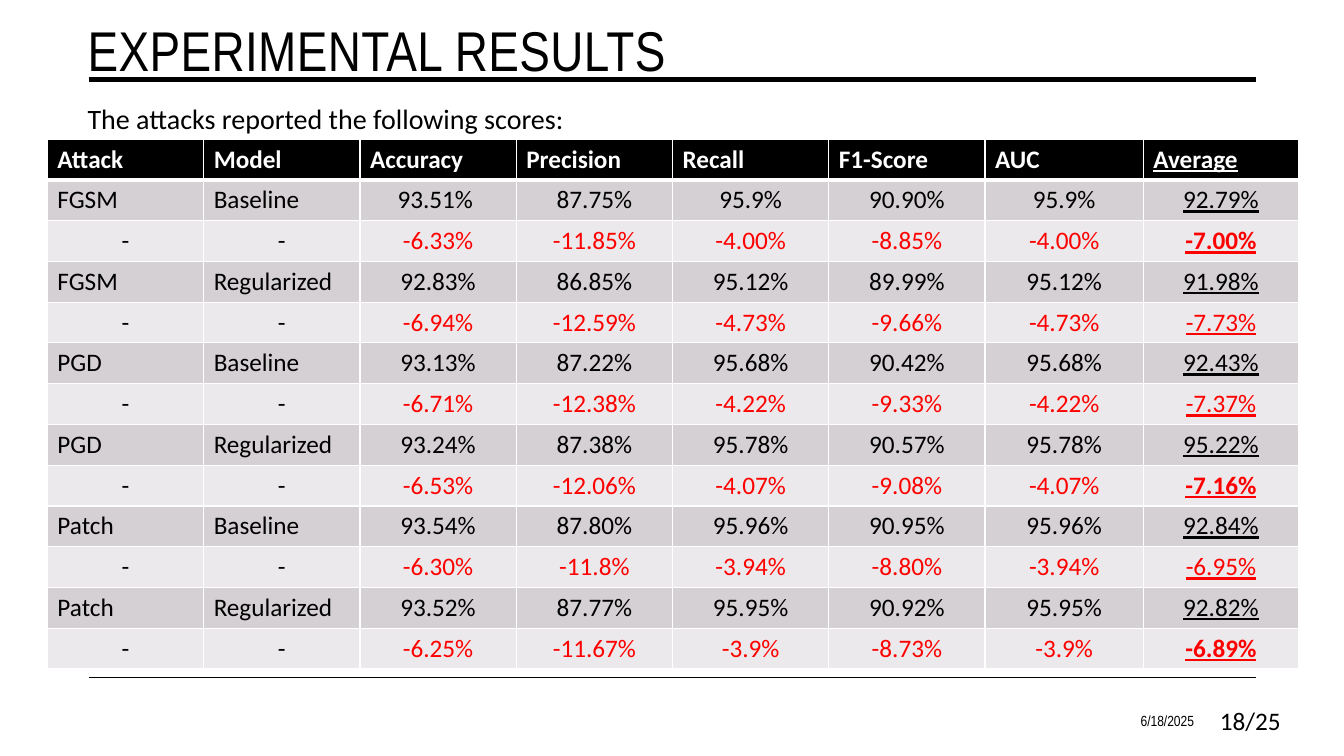
from pptx import Presentation
from pptx import util as u
from pptx.dml.color import RGBColor
from pptx.enum import shapes, text
from pptx.oxml import parse_xml
from pptx.oxml.ns import nsdecls

BLACK = RGBColor(0x00, 0x00, 0x00)
WHITE = RGBColor(0xFF, 0xFF, 0xFF)
RED = RGBColor(0xFF, 0x00, 0x00)
SCORE_FILL = RGBColor(0xD5, 0xD0, 0xD3)
CHANGE_FILL = RGBColor(0xEB, 0xE9, 0xEB)

NARROW = "Arial Narrow"
BODY = "Calibri"
PX = u.Inches(1) // 100

COLUMN_WIDTHS = [155] * 6 + [157, 154]
TABLE_HEIGHT = 526
NAME_COLUMNS = 2
BEST_AVERAGES = {"-7.00%", "-7.16%", "-6.89%"}
RESULTS = [
    ["Attack", "Model", "Accuracy", "Precision", "Recall", "F1-Score", "AUC", "Average"],
    ["FGSM", "Baseline", "93.51% ", "87.75%", "95.9%", "90.90%", "95.9%", "92.79%"],
    ["-", "-", "-6.33%", "-11.85%", "-4.00%", "-8.85%", "-4.00%", "-7.00%"],
    ["FGSM", "Regularized", "92.83%", "86.85%", "95.12%", "89.99%", "95.12%", "91.98%"],
    ["-", "-", "-6.94%", "-12.59%", "-4.73%", "-9.66%", "-4.73%", "-7.73%"],
    ["PGD", "Baseline", "93.13%", "87.22%", "95.68%", "90.42%", "95.68%", "92.43%"],
    ["-", "-", "-6.71%", "-12.38%", "-4.22%", "-9.33%", "-4.22%", "-7.37%"],
    ["PGD", "Regularized", "93.24%", "87.38%", "95.78%", "90.57%", "95.78%", "95.22%"],
    ["-", "-", "-6.53%", "-12.06%", "-4.07%", "-9.08%", "-4.07%", "-7.16%"],
    ["Patch", "Baseline", "93.54%", "87.80%", "95.96%", "90.95%", "95.96%", "92.84%"],
    ["-", "-", "-6.30%", "-11.8%", "-3.94%", "-8.80%", "-3.94%", "-6.95%"],
    ["Patch", "Regularized", "93.52%", "87.77%", "95.95%", "90.92%", "95.95%", "92.82%"],
    ["-", "-", "-6.25%", "-11.67%", "-3.9%", "-8.73%", "-3.9%", "-6.89%"],
]


def px(length):
    return u.Emu(length * PX)


def set_font(para, name, size, color=BLACK, bold=False, underline=False):
    font = para.font
    font.name = name
    font.size = u.Pt(size)
    font.color.rgb = color
    font.bold = bold
    font.underline = underline


def add_title(page, words):
    title = page.shapes.title
    title.left, title.top, title.width, title.height = map(px, (77, 7, 1169, 80))
    frame = title.text_frame
    frame.auto_size = text.MSO_AUTO_SIZE.NONE
    frame.vertical_anchor = text.MSO_ANCHOR.BOTTOM
    para = frame.paragraphs[0]
    para.alignment = text.PP_ALIGN.LEFT
    span = para.add_run()
    span.text = words
    span.font._element.set("spc", "30")
    set_font(para, NARROW, 40)


def add_text(page, words, place, name, size, align=text.PP_ALIGN.LEFT,
             anchor=text.MSO_ANCHOR.TOP, spacing=1.0):
    box = page.shapes.add_textbox(*map(px, place))
    frame = box.text_frame
    frame.word_wrap = True
    frame.vertical_anchor = anchor
    para = frame.paragraphs[0]
    para.text = words
    para.alignment = align
    para.line_spacing = spacing
    set_font(para, name, size)


def add_rule(page, top, weight):
    rule = page.shapes.add_connector(
        shapes.MSO_CONNECTOR.STRAIGHT, px(88), px(top), px(1246), px(top))
    rule.line.color.rgb = BLACK
    rule.line.width = u.Pt(weight)
    rule._element.spPr.append(parse_xml(f"<a:effectLst {nsdecls('a')}/>"))


def set_borders(cell, row):
    weights = {"L": 1, "R": 1, "T": 3 if row == 1 else 1, "B": 3 if row == 0 else 1}
    properties = cell._tc.get_or_add_tcPr()
    for side, weight in weights.items():
        properties.append(parse_xml(
            f'<a:ln{side} {nsdecls("a")} w="{u.Pt(weight)}">'
            f'<a:solidFill><a:srgbClr val="{WHITE}"/></a:solidFill></a:ln{side}>'))


def fill_cell(cell, words, row, column):
    header = row == 0
    change = words.startswith("-") and words != "-"
    set_borders(cell, row)
    cell.fill.solid()
    cell.fill.fore_color.rgb = BLACK if header else SCORE_FILL if row % 2 else CHANGE_FILL
    para = cell.text_frame.paragraphs[0]
    para.text = words
    if not header and (column >= NAME_COLUMNS or words == "-"):
        para.alignment = text.PP_ALIGN.CENTER
    average = column == len(COLUMN_WIDTHS) - 1
    set_font(para, BODY, 18, WHITE if header else RED if change else BLACK,
             bold=header or average and words in BEST_AVERAGES, underline=average)


def add_results(page):
    table = page.shapes.add_table(
        len(RESULTS), len(COLUMN_WIDTHS), px(47), px(138),
        px(sum(COLUMN_WIDTHS)), px(TABLE_HEIGHT)).table
    for column, width in zip(table.columns, COLUMN_WIDTHS):
        column.width = px(width)
    for row, values in enumerate(RESULTS):
        for column, words in enumerate(values):
            fill_cell(table.cell(row, column), words, row, column)


def main():
    deck = Presentation()
    deck.slide_width, deck.slide_height = px(1333), px(750)
    page = deck.slides.add_slide(deck.slide_layouts[5])
    add_rule(page, 79, 3.5)
    add_rule(page, 672, 1)
    add_title(page, "EXPERIMENTAL RESULTS")
    add_text(page, "The attacks reported the following scores:",
             (77, 92, 1169, 538), BODY, 20, spacing=1.1)
    footer = {"align": text.PP_ALIGN.RIGHT, "anchor": text.MSO_ANCHOR.MIDDLE}
    add_text(page, "6/18/2025", (915, 695, 279, 40), NARROW, 10.5, **footer)
    add_text(page, "18/25", (1194, 695, 86, 40), BODY, 18, **footer)
    add_results(page)
    deck.save("out.pptx")


if __name__ == "__main__":
    main()
